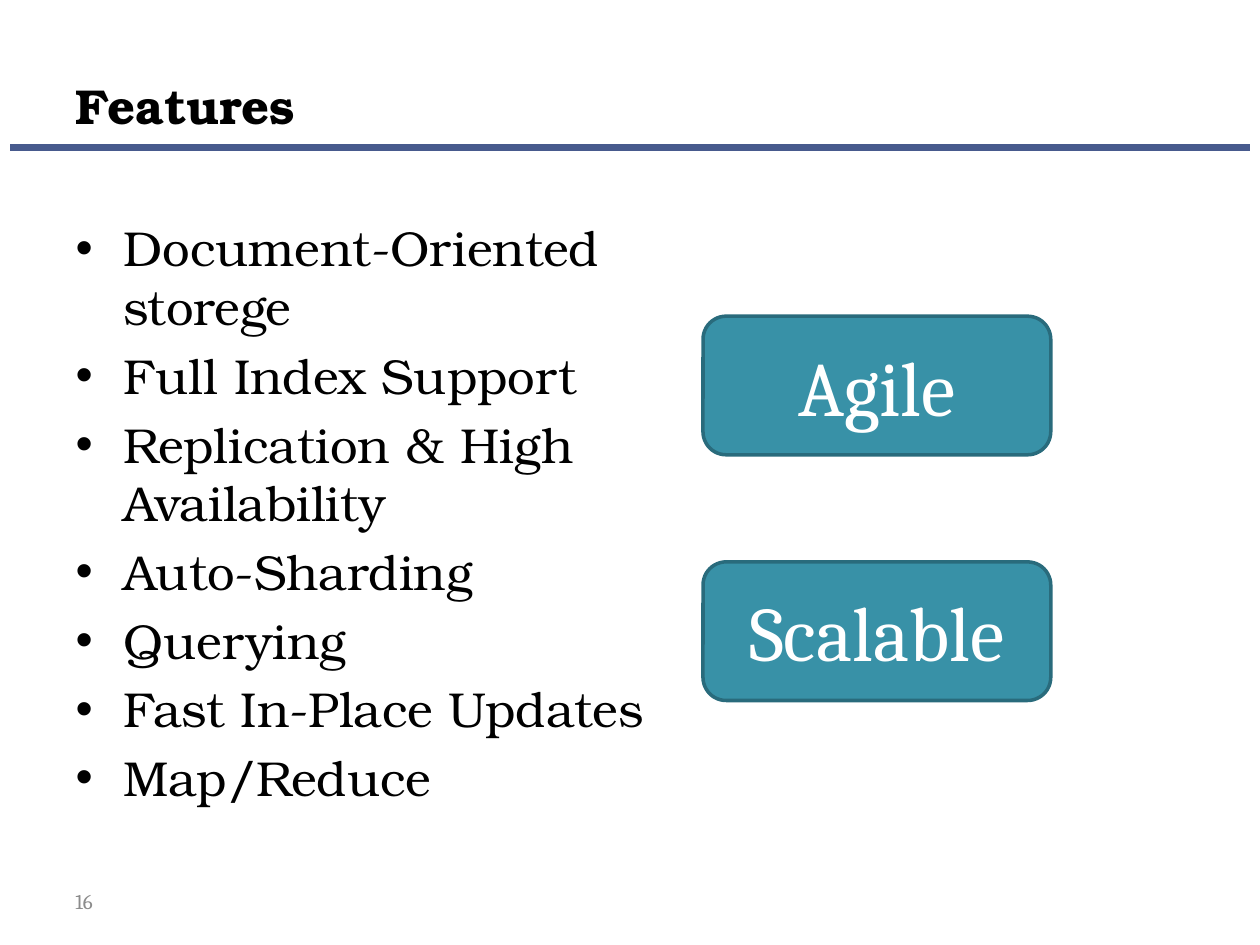
import dataclasses

import pptx
import pptx.dml.color
import pptx.enum.shapes
import pptx.enum.text
import pptx.oxml
import pptx.oxml.ns
import pptx.util
from pptx.util import Inches

ALIGN = pptx.enum.text.PP_ALIGN
ANCHOR = pptx.enum.text.MSO_ANCHOR


@dataclasses.dataclass(frozen=True)
class Theme:
    serif: str = "TeX Gyre Bonum"
    sans: str = "Cambria"
    text: str = "000000"
    muted: str = "8C8C8C"
    light: str = "FFFFFF"
    rule: str = "475A8D"
    box_fill: str = "3891A7"
    box_line: str = "296B7C"
    main_size: int = 28
    box_size: int = 44
    number_size: int = 12


THEME = Theme()
FEATURES = [
    "Document-Oriented storege",
    "Full Index Support",
    "Replication & High Availability",
    "Auto-Sharding",
    "Querying",
    "Fast In-Place Updates",
    "Map/Reduce",
]
QUALITIES = ["Agile", "Scalable"]


def rgb(value):
    return pptx.dml.color.RGBColor.from_string(value)


def set_format(target, values):
    for name, value in values.items():
        setattr(target, name, value)


def place(shape, left, top, width, height):
    set_format(shape, {"left": Inches(left), "top": Inches(top),
                       "width": Inches(width), "height": Inches(height)})


def format_frame(tf, anchor):
    set_format(tf, {"word_wrap": True, "vertical_anchor": anchor,
                    "auto_size": pptx.enum.text.MSO_AUTO_SIZE.NONE})


def write(p, text, font, size, color, align=ALIGN.LEFT, bold=False):
    p.alignment = align
    r = p.add_run()
    r.text = text
    set_format(r.font, {"name": font, "size": pptx.util.Pt(size), "bold": bold})
    r.font.color.rgb = rgb(color)


def add_bullet(p, indent):
    pPr = p._p.get_or_add_pPr()
    pPr.set("marL", str(Inches(indent)))
    pPr.set("indent", str(-Inches(indent)))
    ns = pptx.oxml.ns.nsdecls("a")
    pPr.append(pptx.oxml.parse_xml(f'<a:buFont {ns} typeface="Arial"/>'))
    pPr.append(pptx.oxml.parse_xml(f'<a:buChar {ns} char="•"/>'))


def add_rule(s):
    line = s.shapes.add_connector(
        pptx.enum.shapes.MSO_CONNECTOR.STRAIGHT,
        Inches(0.08), Inches(1.17), Inches(9.92), Inches(1.17))
    line.line.color.rgb = rgb(THEME.rule)
    line.line.width = pptx.util.Pt(4)
    line._element.spPr.append(pptx.oxml.parse_xml(
        f'<a:effectLst {pptx.oxml.ns.nsdecls("a")}/>'))


def add_slide_number(s, number):
    sp = s.shapes.add_textbox(Inches(0.5), Inches(6.95), Inches(2.33), Inches(0.4))
    format_frame(sp.text_frame, ANCHOR.MIDDLE)
    write(sp.text_frame.paragraphs[0], number, THEME.sans, THEME.number_size, THEME.muted)


def fill_title(sp, text):
    place(sp, 0.5, 0.34, 9, 0.78)
    format_frame(sp.text_frame, ANCHOR.BOTTOM)
    write(sp.text_frame.paragraphs[0], text, THEME.serif, THEME.main_size,
          THEME.text, bold=True)


def fill_list(sp, items):
    place(sp, 0.5, 1.68, 5.03, 5.02)
    tf = sp.text_frame
    format_frame(tf, ANCHOR.TOP)
    for i, item in enumerate(items):
        p = tf.add_paragraph() if i else tf.paragraphs[0]
        add_bullet(p, 0.38)
        p.space_before = pptx.util.Pt(0.2 * THEME.main_size if i else 0)
        write(p, item, THEME.serif, THEME.main_size, THEME.text)


def add_quality_box(s, text, top):
    sp = s.shapes.add_shape(pptx.enum.shapes.MSO_SHAPE.ROUNDED_RECTANGLE,
                            Inches(5.58), Inches(top), Inches(2.76), Inches(1.1))
    sp.shadow.inherit = False
    sp.fill.solid()
    sp.fill.fore_color.rgb = rgb(THEME.box_fill)
    sp.line.color.rgb = rgb(THEME.box_line)
    sp.line.width = pptx.util.Pt(2)
    format_frame(sp.text_frame, ANCHOR.MIDDLE)
    write(sp.text_frame.paragraphs[0], text, THEME.sans, THEME.box_size,
          THEME.light, ALIGN.CENTER)


def main():
    prs = pptx.Presentation()
    set_format(prs, {"slide_width": Inches(10), "slide_height": Inches(7.5)})
    s = prs.slides.add_slide(prs.slide_layouts[1])
    add_rule(s)
    add_slide_number(s, "16")
    fill_title(s.shapes.title, "Features")
    fill_list(s.placeholders[1], FEATURES)
    for i, quality in enumerate(QUALITIES):
        add_quality_box(s, quality, 2.51 + i * 1.95)
    prs.save("out.pptx")


if __name__ == "__main__":
    main()
